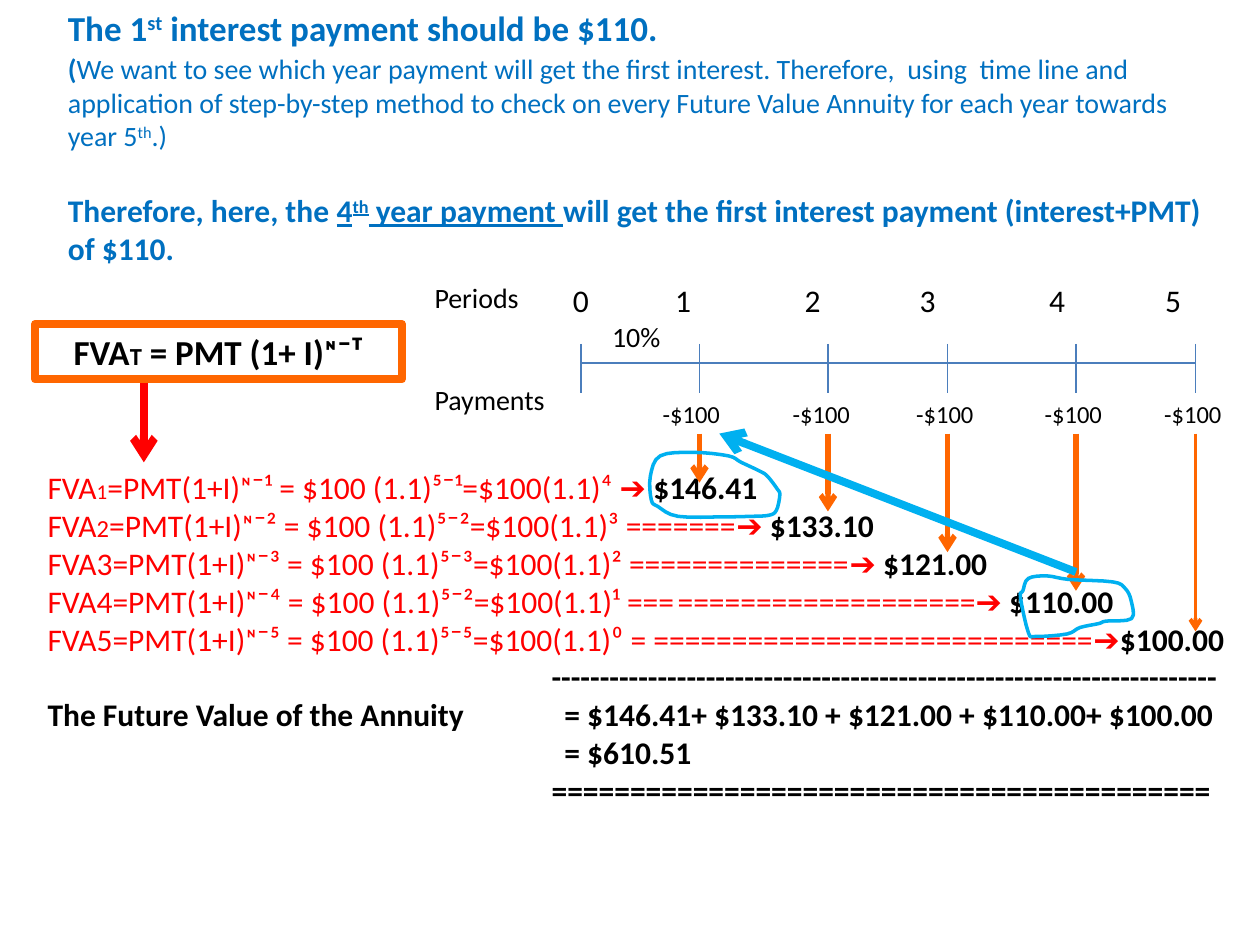
"""Build a slide on the future value of an annuity, with its time line and yearly steps."""
from lxml import etree
from pptx import Presentation
from pptx.dml.color import RGBColor
from pptx.enum.shapes import MSO_CONNECTOR, MSO_SHAPE
from pptx.enum.text import PP_ALIGN
from pptx.oxml.ns import qn
from pptx.util import Cm, Pt

STRAIGHT = MSO_CONNECTOR.STRAIGHT
RECTANGLE = MSO_SHAPE.RECTANGLE
CENTER = PP_ALIGN.CENTER
COLORS = {
    "black": "000000",
    "red": "FF0000",
    "orange": "FF6600",
    "blue": "0070C0",
    "sky": "00B0F0",
    "axis": "4B7EBC",
}


def add_span(para, text, size=18, color="black", bold=False, underline=False, raised=False):
    span = para.add_run()
    span.text = text
    font = span.font
    font.name = "Calibri"
    font.size = Pt(size)
    font.bold = bold
    font.underline = underline
    font.color.rgb = RGBColor.from_string(COLORS[color])
    if raised:
        span._r.get_or_add_rPr().set("baseline", "30000")


def add_line(x1, y1, x2, y2, color, weight, arrow=True):
    line = page.shapes.add_connector(STRAIGHT, Cm(x1), Cm(y1), Cm(x2), Cm(y2))
    line.line.color.rgb = RGBColor.from_string(COLORS[color])
    line.line.width = Pt(weight)
    if arrow:
        etree.SubElement(line.line._get_or_add_ln(), qn("a:tailEnd"), type="arrow")
    etree.SubElement(line._element.spPr, qn("a:effectLst"))


deck = Presentation()
deck.slide_width, deck.slide_height = Cm(25.4), Cm(19.05)
page = deck.slides.add_slide(deck.slide_layouts[6])

tick_xs = [11.71, 14.1, 16.69, 19.1, 21.69, 24.1]
add_line(tick_xs[0], 7.32, tick_xs[-1], 7.32, "axis", 0.75, arrow=False)
for x in tick_xs:
    add_line(x, 6.93, x, 7.92, "axis", 0.75, arrow=False)

red = {"color": "red"}
strong = {"bold": True}
heading = {"size": 20, "color": "blue", "bold": True}
note = {"size": 16, "color": "blue"}
result = {"color": "blue", "bold": True}
label = {"size": 16}

steps = [
    ("1", 12, "=PMT(1+I)ᶰ¯¹ = $100 (1.1)⁵¯¹=$100(1.1)⁴ ➔ ", "$146.41"),
    ("2", 14, "=PMT(1+I)ᶰ¯² = $100 (1.1)⁵¯²=$100(1.1)³ =======➔ ", "$133.10"),
    ("3", 18, "=PMT(1+I)ᶰ¯³ = $100 (1.1)⁵¯³=$100(1.1)² ==============➔ ", "$121.00"),
    ("4", 18, "=PMT(1+I)ᶰ¯⁴ = $100 (1.1)⁵¯²=$100(1.1)¹ ===\t===================➔ ", "$110.00"),
    ("5", 18, "=PMT(1+I)ᶰ¯⁵ = $100 (1.1)⁵¯⁵=$100(1.1)⁰ = ============================➔", "$100.00"),
]
calculation = [
    {"tabs": [12.7], "spans": [
        ("FVA", red), (year, {"size": size, "color": "red"}), (working, red), (value, strong)]}
    for year, size, working, value in steps
]
totals = [
    (10.16, "\t" + "-" * 69),
    (10.42, "The Future Value of the Annuity\t= $146.41+ $133.10 + $121.00 + $110.00+ $100.00"),
    (10.42, "\t= $610.51"),
    (10.16, "\t" + "=" * 42),
]
calculation += [{"tabs": [tab], "spans": [(text, strong)]} for tab, text in totals]

explanation = [
    {"indent": 1.12, "spans": [
        ("The 1", heading), ("st", {**heading, "raised": True}),
        (" interest payment should be $110.", heading)]},
    {"indent": 1.12, "before": 2, "spans": [
        ("(", {**note, "bold": True}),
        ("We want to see which year payment will get the first interest. Therefore,  using  "
         "time line and application of step-by-step method to check on every Future Value "
         "Annuity for each year towards year 5", note),
        ("th", {**note, "raised": True}), (".)", note)]},
    {"indent": 1.12, "before": 22, "spans": [
        ("Therefore, here, the ", result), ("4", {**result, "underline": True}),
        ("th", {**result, "underline": True, "raised": True}),
        (" year payment ", {**result, "underline": True}),
        ("will get the first interest payment (interest+PMT) of $110.", result)]},
]

text_boxes = [
    (11.3, 5.54, 13.21, 1.02, [
        {"tabs": [2.06, 4.67, 6.99, 9.6, 11.94], "spans": [("0\t1\t2\t3\t4\t5", {})]}]),
    (12.09, 6.32, 1.6, 0.94, [{"spans": [("10%", label)]}]),
    (13.11, 7.92, 12.29, 0.86, [
        {"tabs": [2.62, 5.11, 7.7, 10.11],
         "spans": [("\t".join(["-$100"] * 5), {"size": 14})]}]),
    (8.51, 5.54, 3, 3, [
        {"spans": [("Periods", label)]}, {"before": 39, "spans": [("Payments", label)]}]),
    (0.71, 9.32, 24.69, 7.95, calculation),
    (0, 0, 24.69, 5.56, explanation),
]
for left, top, width, height, paragraphs in text_boxes:
    box = page.shapes.add_textbox(Cm(left), Cm(top), Cm(width), Cm(height))
    frame = box.text_frame
    frame.word_wrap = True
    for index, content in enumerate(paragraphs):
        para = frame.add_paragraph() if index else frame.paragraphs[0]
        properties = para._p.get_or_add_pPr()
        properties.set("marL", str(Cm(content.get("indent", 0))))
        if "tabs" in content:
            tab_list = etree.SubElement(properties, qn("a:tabLst"))
            for position in content["tabs"]:
                etree.SubElement(tab_list, qn("a:tab"), pos=str(Cm(position)), algn="l")
        para.space_before = Pt(content.get("before", 0))
        for text, style in content["spans"]:
            add_span(para, text, **style)

formula = page.shapes.add_shape(RECTANGLE, Cm(0.71), Cm(6.53), Cm(7.39), Cm(1.12))
formula.shadow.inherit = False
formula.fill.background()
formula.line.color.rgb = RGBColor.from_string(COLORS["orange"])
formula.line.width = Pt(4.5)
para = formula.text_frame.paragraphs[0]
para.alignment = CENTER
for text, size in [("FVA", 20), ("T", 14), (" = PMT (1+ I)ᶰ¯ᵀ", 20)]:
    add_span(para, text, size=size, bold=True)

add_line(2.9, 7.72, 2.9, 9.32, "red", 4.5)
payment_ends = [9.73, 10.31, 11.13, 11.91, 12.73]
payment_weights = [3, 3, 3, 3, 2.25]
for x, end, weight in zip(tick_xs[1:], payment_ends, payment_weights):
    add_line(x, 8.74, x, end, "orange", weight)

fourth_year_ring = [
    (22.68, 11.86), (22.43, 11.73), (21.54, 11.68), (21.11, 11.61), (20.73, 11.66),
    (20.62, 11.91), (20.57, 12.04), (20.73, 12.75), (20.88, 12.83), (21.51, 12.78),
    (21.77, 12.65), (22.15, 12.57), (22.3, 12.52), (22.81, 12.47), (22.8, 12.1),
]
first_year_ring = [
    (15.32, 9.5), (14.94, 9.32), (14.68, 9.19), (13.97, 9.12), (13.31, 9.19), (13.11, 9.6),
    (13.13, 10.08), (13.26, 10.21), (13.67, 10.41), (14.6, 10.42), (15.1, 10.41),
    (15.49, 10.39), (15.65, 10.29), (15.72, 9.98), (15.67, 9.86), (15.47, 9.6),
]
for ring in (fourth_year_ring, first_year_ring):
    smooth_points = []
    for index in range(len(ring)):
        corners = [ring[(index + shift) % len(ring)] for shift in (-1, 0, 1, 2)]
        for t in (0, 0.25, 0.5, 0.75):
            smooth_points.append(tuple(
                500 * (2 * b + (c - a) * t + (2 * a - 5 * b + 4 * c - d) * t ** 2
                       + (3 * b - a - 3 * c + d) * t ** 3)
                for a, b, c, d in zip(*corners)))
    builder = page.shapes.build_freeform(*smooth_points[0], scale=Cm(0.001))
    builder.add_line_segments(smooth_points[1:], close=True)
    outline = builder.convert_to_shape()
    outline.shadow.inherit = False
    outline.fill.background()
    outline.line.color.rgb = RGBColor.from_string(COLORS["sky"])
    outline.line.width = Pt(2)

add_line(tick_xs[4], 11.53, 14.5, 8.74, "sky", 4.5)

deck.save("out.pptx")
